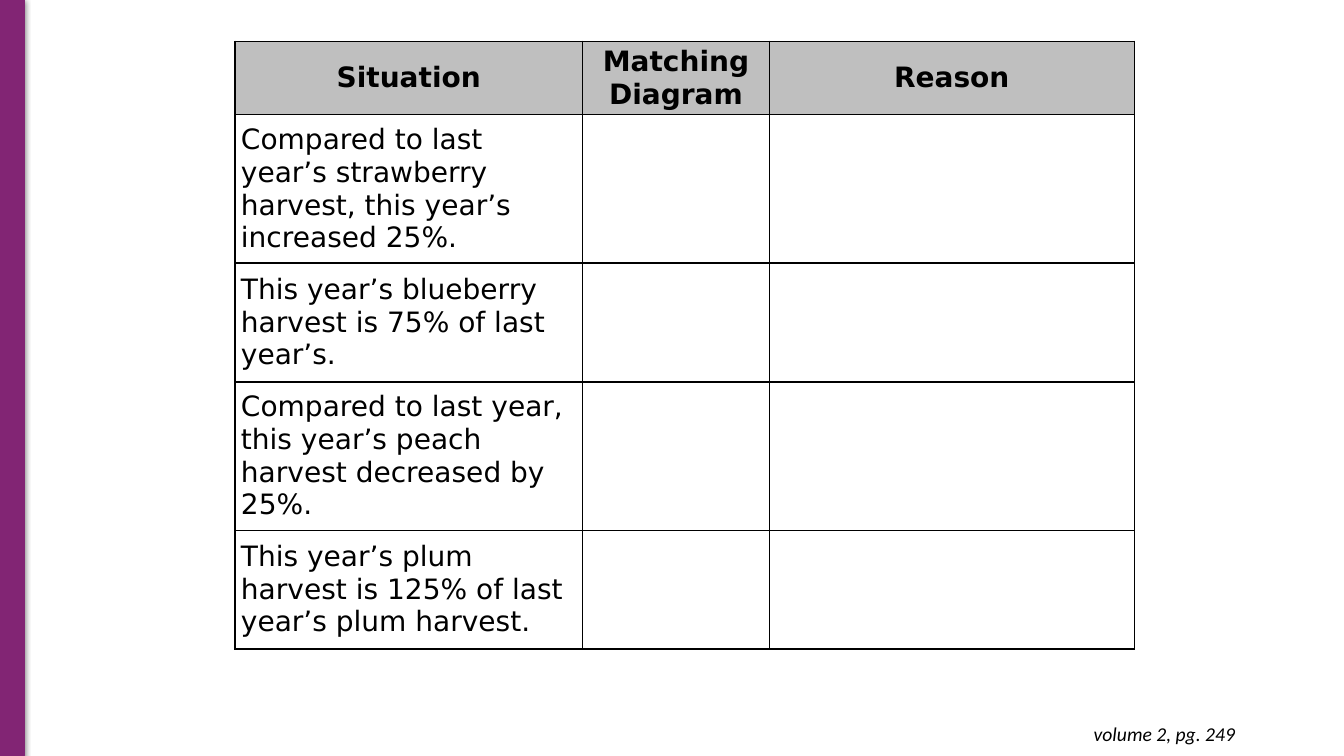
import lxml.etree
import pptx
import pptx.dml.color
import pptx.enum.shapes
import pptx.enum.text
import pptx.oxml
import pptx.oxml.ns
import pptx.util

PX = 9144
COLORS = {"plum": "822574", "header": "BFBFBF", "ink": "000000"}
ALIGN = pptx.enum.text.PP_ALIGN
COLUMNS = [345, 185, 362]
ROWS = [73, 147, 118, 147, 118]
HEADINGS = ["Situation", "Matching Diagram", "Reason"]
SITUATIONS = [
    "Compared to last year’s strawberry harvest, this year’s increased 25%.",
    "This year’s blueberry harvest is 75% of last year’s.",
    "Compared to last year, this year’s peach harvest decreased by 25%.",
    "This year’s plum harvest is 125% of last year’s plum harvest.",
]


def px(length):
    """Turn a length in px into EMU."""
    return pptx.util.Emu(length * PX)


def rgb(name):
    """Return a named colour."""
    return pptx.dml.color.RGBColor.from_string(COLORS[name])


def style(para, font, size, align, bold=False, italic=False):
    """Format a paragraph and its runs."""
    para.alignment = align
    for span in para.runs:
        span.font.name = font
        span.font.size = pptx.util.Pt(size)
        span.font.bold = bold
        span.font.italic = italic
        span.font.color.rgb = rgb("ink")


def add_side_bar(page, left, top, width, height):
    """Draw the shaded bar along the page edge."""
    bar = page.shapes.add_shape(
        pptx.enum.shapes.MSO_SHAPE.RECTANGLE, px(left), px(top), px(width), px(height))
    bar.fill.solid()
    bar.fill.fore_color.rgb = rgb("plum")
    bar.line.color.rgb = rgb("plum")
    bar.line.width = pptx.util.Pt(0.75)
    bar.shadow.inherit = False
    effects = bar.element.spPr.find(pptx.oxml.ns.qn("a:effectLst"))
    effects.append(pptx.oxml.parse_xml(
        f'<a:outerShdw {pptx.oxml.ns.nsdecls("a")} blurRad="57150" dist="19050" dir="5400000" '
        f'algn="ctr" rotWithShape="0"><a:srgbClr val="{COLORS["ink"]}">'
        '<a:alpha val="50000"/></a:srgbClr></a:outerShdw>'))


def add_borders(cell):
    """Give a cell a thin line on every side."""
    properties = cell._tc.get_or_add_tcPr()
    for side in ("lnL", "lnR", "lnT", "lnB"):
        line = lxml.etree.SubElement(properties, pptx.oxml.ns.qn(f"a:{side}"), w="12700")
        fill = lxml.etree.SubElement(line, pptx.oxml.ns.qn("a:solidFill"))
        lxml.etree.SubElement(fill, pptx.oxml.ns.qn("a:srgbClr"), val=COLORS["ink"])


def fill_cell(cell, text, is_header):
    """Write and format one table cell."""
    add_borders(cell)
    if is_header:
        cell.fill.solid()
        cell.fill.fore_color.rgb = rgb("header")
    else:
        cell.fill.background()
    cell.margin_left = cell.margin_right = px(6)
    cell.margin_top = cell.margin_bottom = 0
    cell.vertical_anchor = pptx.enum.text.MSO_ANCHOR.MIDDLE
    cell.text_frame.text = text
    style(cell.text_frame.paragraphs[0], "DejaVu Sans", 20,
          ALIGN.CENTER if is_header else ALIGN.LEFT, bold=is_header)


def add_harvest_table(page, left, top):
    """Place the table of situations to be matched."""
    table = page.shapes.add_table(
        len(ROWS), len(COLUMNS), px(left), px(top), px(sum(COLUMNS)), px(sum(ROWS))).table
    table.horz_banding = False
    for column, width in zip(table.columns, COLUMNS):
        column.width = px(width)
    contents = [HEADINGS] + [[situation, "", ""] for situation in SITUATIONS]
    for index, (row, height, texts) in enumerate(zip(table.rows, ROWS, contents)):
        row.height = px(height)
        for cell, text in zip(row.cells, texts):
            fill_cell(cell, text, index == 0)


def add_page_reference(page, left, top, width, height):
    """Place the book reference at the lower right."""
    box = page.shapes.add_textbox(px(left), px(top), px(width), px(height))
    frame = box.text_frame
    frame.word_wrap = True
    frame.auto_size = pptx.enum.text.MSO_AUTO_SIZE.SHAPE_TO_FIT_TEXT
    frame.margin_left = frame.margin_right = px(10)
    frame.margin_top = frame.margin_bottom = px(10)
    frame.text = "volume 2, pg. 249"
    style(frame.paragraphs[0], "Calibri", 14, ALIGN.RIGHT, italic=True)


def main():
    """Build and save the deck."""
    deck = pptx.Presentation()
    deck.slide_width, deck.slide_height = px(1333), px(750)
    page = deck.slides.add_slide(deck.slide_layouts[6])
    add_side_bar(page, 0, -1, 24, 751)
    add_harvest_table(page, 233, 41)
    add_page_reference(page, 947, 706, 288, 44)
    deck.save("out.pptx")


if __name__ == "__main__":
    main()
